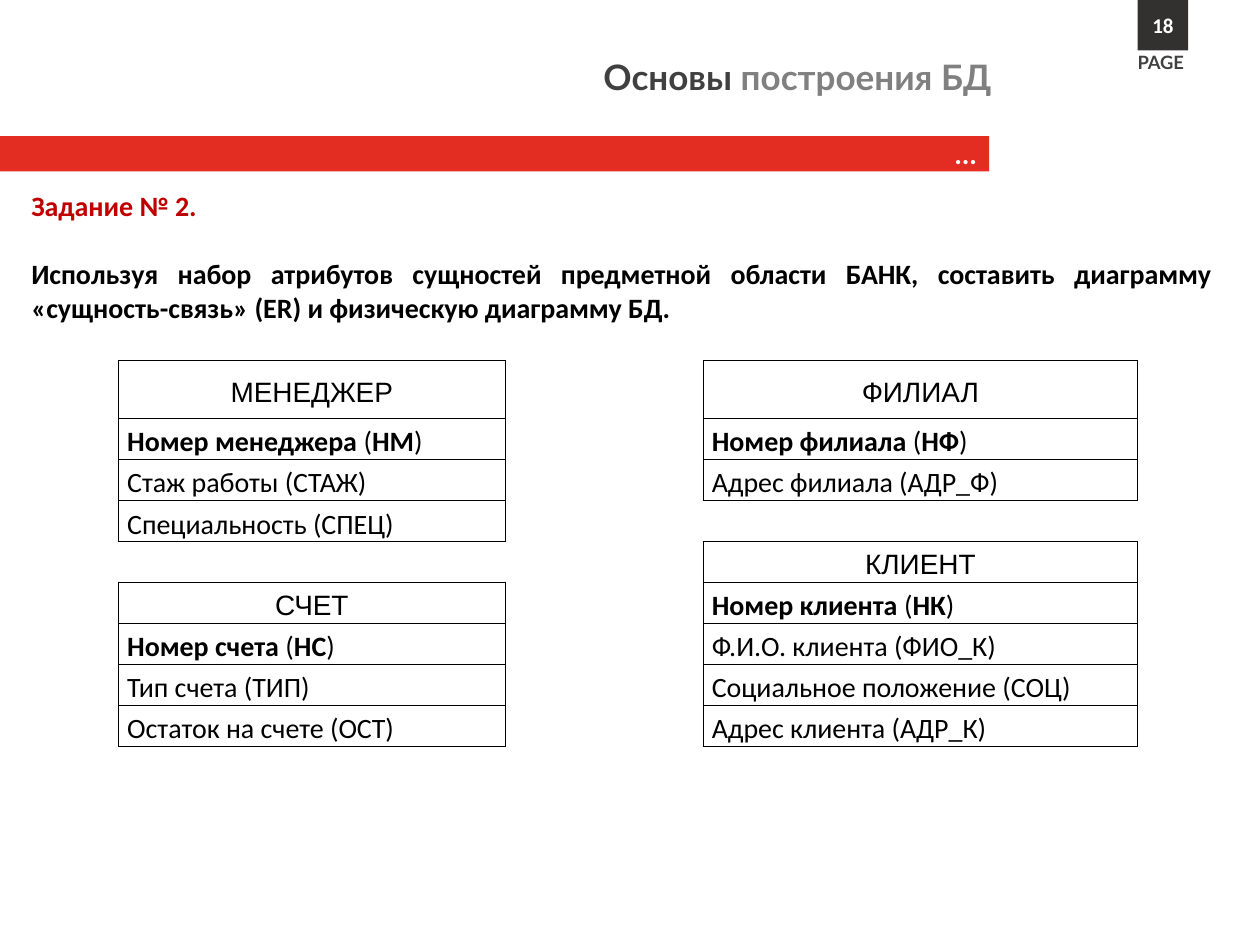
from lxml import etree
from pptx import Presentation
from pptx.dml.color import RGBColor
from pptx.enum.shapes import MSO_SHAPE as Shape
from pptx.enum.text import MSO_ANCHOR as Anchor, MSO_AUTO_SIZE as AutoSize, PP_ALIGN as Align
from pptx.oxml import parse_xml
from pptx.util import Inches, Pt

COLORS = {
    "red": "E32C22",
    "task": "C00000",
    "badge": "333030",
    "dark": "404040",
    "gray": "808080",
    "white": "FFFFFF",
    "black": "000000",
}
DRAWING = "http://schemas.openxmlformats.org/drawingml/2006/main"
NO_STYLE = "{2D5ABB26-0587-4C30-8999-92F81FD0307C}"


def add_span(para, text, size, font, color, bold=True):
    span = para.add_run()
    span.text = text
    span.font.size = Pt(size)
    span.font.name = font
    span.font.bold = bold
    span.font.color.rgb = RGBColor.from_string(COLORS[color])


def place(shape, left, top, width, height):
    shape.left, shape.top = Inches(left), Inches(top)
    shape.width, shape.height = Inches(width), Inches(height)
    shape.text_frame.auto_size = AutoSize.NONE
    shape.text_frame.word_wrap = True


deck = Presentation()
deck.slide_width, deck.slide_height = Inches(10), Inches(7.5)
page = deck.slides.add_slide(deck.slide_layouts[0])

title = page.shapes.title
place(title, 0.15, 0.39, 7.82, 0.44)
title.text_frame.vertical_anchor = Anchor.TOP
para = title.text_frame.paragraphs[0]
para.alignment = Align.RIGHT
add_span(para, "Основы", 20, "Lato", "dark")
add_span(para, " построения БД", 20, "Lato", "gray")

banner = page.placeholders[1]
place(banner, 0, 1.08, 7.85, 0.28)
banner.fill.solid()
banner.fill.fore_color.rgb = RGBColor.from_string(COLORS["red"])
banner.text_frame.vertical_anchor = Anchor.MIDDLE
para = banner.text_frame.paragraphs[0]
para.alignment = Align.RIGHT
add_span(para, "…", 16, "Lato", "white")

page_label = page.shapes.add_textbox(0, 0, 0, 0)
place(page_label, 8.93, 0.36, 0.59, 0.28)
page_label.text_frame.word_wrap = False
add_span(page_label.text_frame.paragraphs[0], "PAGE", 10.5, "Lato", "dark")

badge = page.shapes.add_shape(Shape.RECTANGLE, 0, 0, 0, 0)
place(badge, 9.03, 0, 0.4, 0.4)
badge.shadow.inherit = False
badge.fill.solid()
badge.fill.fore_color.rgb = RGBColor.from_string(COLORS["badge"])
badge.line.fill.background()
badge.text_frame.vertical_anchor = Anchor.MIDDLE
para = badge.text_frame.paragraphs[0]
para.alignment = Align.CENTER
add_span(para, "18", 12, "Calibri", "white")

task = page.shapes.add_textbox(0, 0, 0, 0)
place(task, 0.15, 1.45, 9.57, 1.18)
para = task.text_frame.paragraphs[0]
para.space_after = Pt(19.5)
add_span(para, "Задание № 2.", 16, "Calibri", "task")
para = task.text_frame.add_paragraph()
para.alignment = Align.JUSTIFY
add_span(
    para,
    "Используя набор атрибутов сущностей предметной области БАНК, "
    "составить диаграмму «сущность-связь» (ER) и физическую диаграмму БД.",
    16, "Calibri", "black",
)

entities = [
    (0, 0, "МЕНЕДЖЕР", "Номер менеджера", "НМ", ["Стаж работы (СТАЖ)", "Специальность (СПЕЦ)"]),
    (0, 5, "СЧЕТ", "Номер счета", "НС", ["Тип счета (ТИП)", "Остаток на счете (ОСТ)"]),
    (2, 0, "ФИЛИАЛ", "Номер филиала", "НФ", ["Адрес филиала (АДР_Ф)"]),
    (2, 4, "КЛИЕНТ", "Номер клиента", "НК",
     ["Ф.И.О. клиента (ФИО_К)", "Социальное положение (СОЦ)", "Адрес клиента (АДР_К)"]),
]

frame = page.shapes.add_table(9, 3, Inches(0.94), Inches(2.86), Inches(8.09), Inches(3.02))
table = frame.table
table.first_row = table.horz_banding = False
table._tbl.tblPr.find(f"{{{DRAWING}}}tableStyleId").text = NO_STYLE
for column, width in zip(table.columns, [3.07, 1.57, 3.45]):
    column.width = Inches(width)
for index, row in enumerate(table.rows):
    row.height = Inches(0.32 if index else 0.46)
for cell in table.iter_cells():
    cell.margin_left = cell.margin_right = Inches(0.07)
    cell.margin_top = cell.margin_bottom = 0
    cell.fill.background()

for column, first_row, name, key, code, attributes in entities:
    lines = [
        [(name, "Arial", False)],
        [(key, "Calibri", True), (" (", "Calibri", False), (code, "Calibri", True), (")", "Calibri", False)],
    ]
    lines += [[(attribute, "Calibri", False)] for attribute in attributes]
    for offset, spans in enumerate(lines):
        cell = table.cell(first_row + offset, column)
        cell.vertical_anchor = Anchor.TOP if offset else Anchor.MIDDLE
        para = cell.text_frame.paragraphs[0]
        para.alignment = Align.JUSTIFY if offset else Align.CENTER
        para.line_spacing = 1.2
        for text, font, bold in spans:
            add_span(para, text, 16, font, "black", bold)
        properties = cell._tc.get_or_add_tcPr()
        for position, side in enumerate("LRTB"):
            border = parse_xml(f'<a:ln{side} xmlns:a="{DRAWING}" w="6350"/>')
            fill = etree.SubElement(border, f"{{{DRAWING}}}solidFill")
            etree.SubElement(fill, f"{{{DRAWING}}}srgbClr", val=COLORS["black"])
            properties.insert(position, border)

deck.save("out.pptx")
